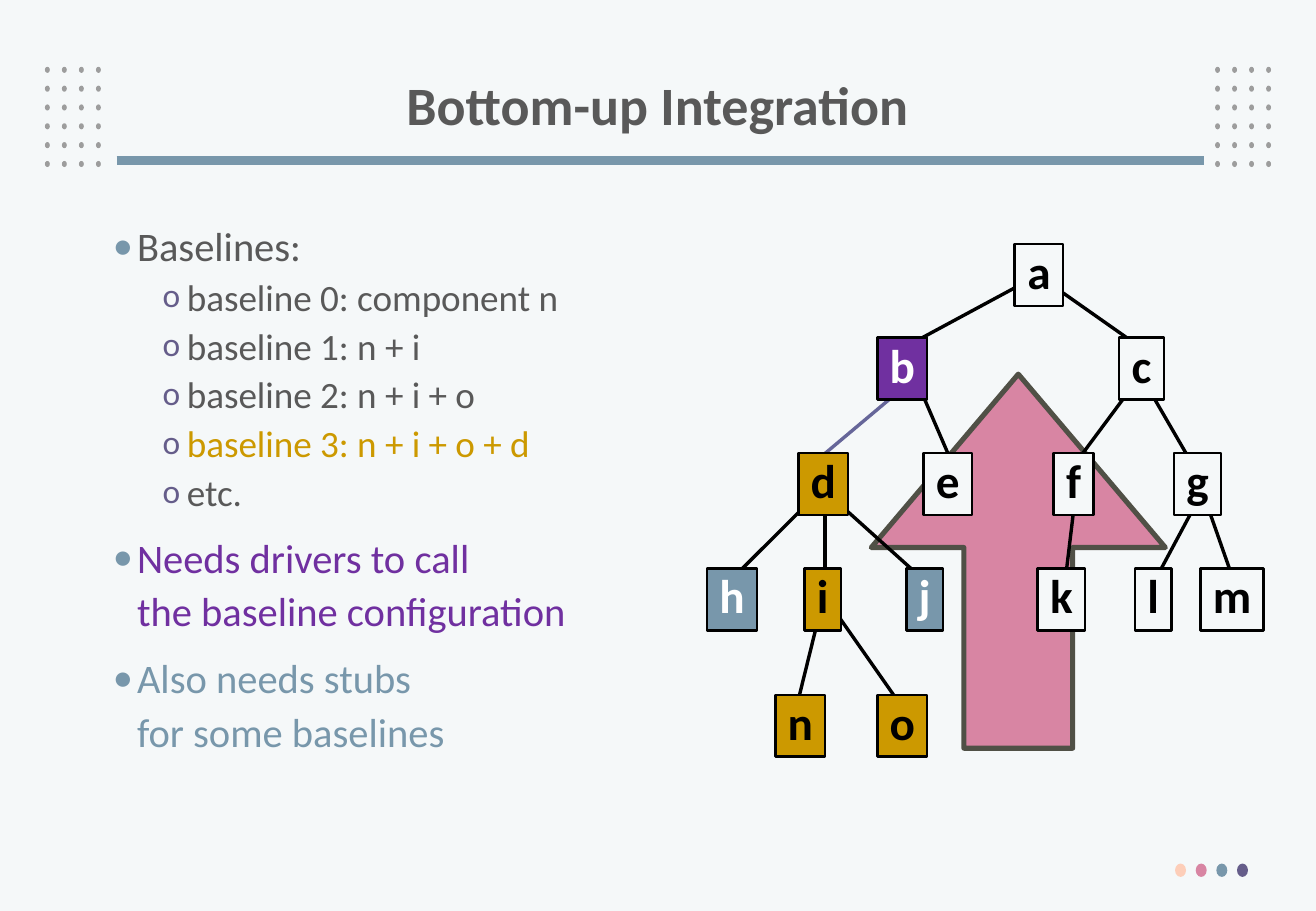
from dataclasses import dataclass
from itertools import product

from lxml.etree import SubElement
from pptx import Presentation
from pptx.dml.color import RGBColor
from pptx.enum.shapes import MSO_CONNECTOR, MSO_SHAPE
from pptx.enum.text import MSO_ANCHOR, PP_ALIGN
from pptx.oxml.ns import qn
from pptx.util import Inches, Pt


@dataclass(frozen=True)
class Theme:
    font: str = "Calibri"
    paper: str = "F5F8F9"
    text: str = "595959"
    black: str = "000000"
    white: str = "FFFFFF"
    blue: str = "7897AB"
    pink: str = "D885A3"
    peach: str = "FDCEB9"
    indigo: str = "655D8A"
    purple: str = "7030A0"
    gold: str = "CC9900"
    dot: str = "9D9D9D"
    arrow_line: str = "505046"
    driver_line: str = "666699"
    title_size: int = 32
    topic_size: int = 24
    item_size: int = 22
    node_size: int = 28


THEME = Theme()

# Content
TITLE = "Bottom-up Integration"
OUTLINE = [  # level, text, colour
    (0, "Baselines:", THEME.text),
    (1, "baseline 0: component n", THEME.text),
    (1, "baseline 1: n + i", THEME.text),
    (1, "baseline 2: n + i + o", THEME.text),
    (1, "baseline 3: n + i + o + d", THEME.gold),
    (1, "etc.", THEME.text),
    (0, "Needs drivers to call\vthe baseline configuration", THEME.purple),
    (0, "Also needs stubs\vfor some baselines", THEME.blue),
]
TREE_ROWS = [  # top of the row, then its components: name, left, width
    (2.01, [("a", 8.35, 0.4)]),
    (2.78, [("b", 7.22, 0.41), ("c", 9.21, 0.37)]),
    (3.73, [("d", 6.57, 0.41), ("e", 7.6, 0.4), ("f", 8.67, 0.33), ("g", 9.66, 0.39)]),
    (4.68, [("h", 5.82, 0.41), ("i", 6.62, 0.3), ("j", 7.46, 0.3),
            ("k", 8.54, 0.39), ("l", 9.34, 0.3), ("m", 9.88, 0.52)]),
    (5.72, [("n", 6.38, 0.41), ("o", 7.22, 0.41)]),
]
NODE_HEIGHT = 0.51
ROLES = [  # components, fill, text colour
    ("b", THEME.purple, THEME.white),
    ("dino", THEME.gold, THEME.black),
    ("hj", THEME.blue, THEME.white),
]
NODE_COLORS = {name: (fill, ink) for names, fill, ink in ROLES for name in names}
CALLS = {  # caller and callee: from x, y, to x, y
    "ab": (8.48, 2.3, 7.46, 2.85), "ac": (8.59, 2.3, 9.4, 2.87),
    "bd": (7.4, 3.22, 6.71, 3.8), "be": (7.58, 3.22, 7.83, 3.8),
    "cf": (9.41, 3.06, 8.86, 3.8), "cg": (9.4, 3.11, 9.8, 3.8),
    "dh": (6.76, 4.03, 5.99, 4.8), "di": (6.79, 4.17, 6.79, 4.75),
    "dj": (6.93, 4.17, 7.63, 4.8), "fk": (8.85, 4.08, 8.77, 4.75),
    "gl": (9.83, 4.17, 9.52, 4.75), "gm": (9.9, 4.06, 10.17, 4.83),
    "in": (6.77, 4.95, 6.56, 5.8), "io": (6.8, 4.93, 7.43, 5.83),
}
DRIVER_CALL = "bd"

prs = Presentation()
prs.slide_width, prs.slide_height = Inches(10.83), Inches(7.5)
slide = prs.slides.add_slide(prs.slide_layouts[5])
slide.background.fill.solid()
slide.background.fill.fore_color.rgb = RGBColor.from_string(THEME.paper)


def add_block(kind, left, top, width, height, fill, line=None, line_width=0):
    block = slide.shapes.add_shape(
        kind, Inches(left), Inches(top), Inches(width), Inches(height))
    block.shadow.inherit = False
    block.fill.solid()
    block.fill.fore_color.rgb = RGBColor.from_string(fill)
    if line:
        block.line.color.rgb = RGBColor.from_string(line)
        block.line.width = Pt(line_width)
    else:
        block.line.fill.background()
    return block


def add_line(x1, y1, x2, y2, color, width):
    line = slide.shapes.add_connector(
        MSO_CONNECTOR.STRAIGHT, Inches(x1), Inches(y1), Inches(x2), Inches(y2))
    line.line.color.rgb = RGBColor.from_string(color)
    line.line.width = Pt(width)
    SubElement(line._element.spPr, qn("a:effectLst"))


def set_font(paragraph, size, color, bold=False):
    font = paragraph.font
    font.name, font.size, font.bold = THEME.font, Pt(size), bold
    font.color.rgb = RGBColor.from_string(color)


def set_bullet(paragraph, char, color, percent, indent):
    props = paragraph._p.get_or_add_pPr()
    props.set("marL", str(Inches(indent)))
    props.set("indent", str(Inches(-0.2)))
    SubElement(SubElement(props, qn("a:buClr")), qn("a:srgbClr"), val=color)
    SubElement(props, qn("a:buSzPct"), val=str(percent * 1000))
    SubElement(props, qn("a:buFont"), typeface=THEME.font)
    SubElement(props, qn("a:buChar"), char=char)


# Dot grids, title rule and corner dots
for grid_left, column, row in product((0.37, 10), range(4), range(6)):
    add_block(MSO_SHAPE.OVAL, grid_left + 0.14 * column, 0.55 + 0.155 * row,
              0.04, 0.05, THEME.dot)
add_line(0.96, 1.32, 9.91, 1.32, THEME.blue, 5.25)
for place, color in enumerate((THEME.peach, THEME.pink, THEME.blue, THEME.indigo)):
    add_block(MSO_SHAPE.OVAL, 9.67 + 0.17 * place, 7.11, 0.09, 0.11, color)

# Title
title = slide.shapes.title
title.left, title.top = Inches(0.74), Inches(0.4)
title.width, title.height = Inches(9.34), Inches(0.98)
title.text_frame.text = TITLE
title.text_frame.vertical_anchor = MSO_ANCHOR.MIDDLE
heading = title.text_frame.paragraphs[0]
heading.alignment, heading.line_spacing = PP_ALIGN.CENTER, 0.9
set_font(heading, THEME.title_size, THEME.text, bold=True)

# Direction of integration
direction = add_block(MSO_SHAPE.UP_ARROW, 7.17, 3.08, 2.42, 3.08,
                      THEME.pink, THEME.arrow_line, 3)
direction.adjustments[0], direction.adjustments[1] = 0.37, 0.59

# Outline
outline = slide.shapes.add_textbox(
    Inches(0.83), Inches(1.73), Inches(9.26), Inches(5.03)).text_frame
outline.word_wrap = True
for number, (level, text, color) in enumerate(OUTLINE):
    entry = outline.add_paragraph() if number else outline.paragraphs[0]
    entry.text, entry.level, entry.line_spacing = text, level, 1.1
    if level:
        entry.space_before = Pt(0)
        set_bullet(entry, "o", THEME.indigo, 90, 0.61)
        set_font(entry, THEME.item_size, color)
    else:
        entry.space_before = Pt(8.1)
        set_bullet(entry, "•", THEME.blue, 100, 0.2)
        set_font(entry, THEME.topic_size, color)

# Call tree: lines first, components over them
for call, ends in CALLS.items():
    add_line(*ends, THEME.driver_line if call == DRIVER_CALL else THEME.black, 2)
for top, components in TREE_ROWS:
    for name, left, width in components:
        fill, ink = NODE_COLORS.get(name, (THEME.paper, THEME.black))
        node = add_block(MSO_SHAPE.RECTANGLE, left, top, width, NODE_HEIGHT,
                         fill, THEME.black, 1.5).text_frame
        node.margin_left = node.margin_right = node.margin_top = node.margin_bottom = 0
        node.word_wrap = False
        node.vertical_anchor = MSO_ANCHOR.MIDDLE
        node.text = name
        label = node.paragraphs[0]
        label.alignment, label.line_spacing = PP_ALIGN.CENTER, 0.85
        set_font(label, THEME.node_size, ink, bold=True)

prs.save("out.pptx")
